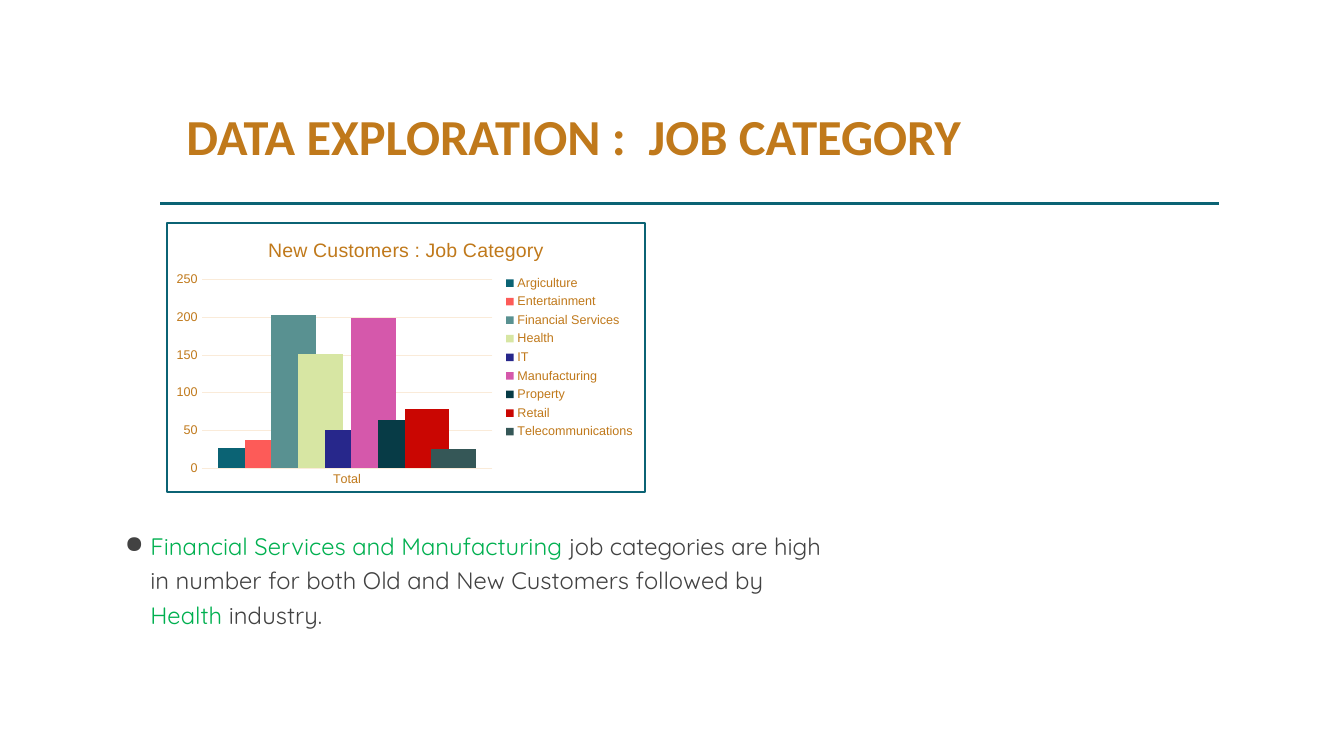
from lxml import etree
from pptx import Presentation
from pptx.chart.data import CategoryChartData
from pptx.dml.color import RGBColor
from pptx.enum.chart import XL_CHART_TYPE, XL_LEGEND_POSITION, XL_TICK_MARK
from pptx.enum.shapes import MSO_CONNECTOR
from pptx.oxml import parse_xml
from pptx.oxml.ns import nsdecls, qn
from pptx.util import Cm, Pt

COLUMNS = XL_CHART_TYPE.COLUMN_CLUSTERED
LEGEND_RIGHT = XL_LEGEND_POSITION.RIGHT
NO_TICK = XL_TICK_MARK.NONE
STRAIGHT = MSO_CONNECTOR.STRAIGHT

TEAL = RGBColor(0x0B, 0x63, 0x74)
OCHRE = RGBColor(0xC0, 0x79, 0x1B)
CREAM = RGBColor(0xFA, 0xEB, 0xD9)
GREEN = RGBColor(0x00, 0xB0, 0x50)
GREY = RGBColor(0x42, 0x42, 0x42)
WHITE = RGBColor(0xFF, 0xFF, 0xFF)

JOBS = [
    ("Argiculture", 26, TEAL),
    ("Entertainment", 37, RGBColor(0xFD, 0x5B, 0x58)),
    ("Financial Services", 203, RGBColor(0x59, 0x91, 0x91)),
    ("Health", 152, RGBColor(0xD7, 0xE6, 0xA3)),
    ("IT", 51, RGBColor(0x27, 0x27, 0x8B)),
    ("Manufacturing", 199, RGBColor(0xD5, 0x58, 0xAB)),
    ("Property", 64, RGBColor(0x07, 0x3B, 0x46)),
    ("Retail", 78, RGBColor(0xCA, 0x06, 0x02)),
    ("Telecommunications", 25, RGBColor(0x35, 0x57, 0x57)),
]
FINDING = [
    ("Financial Services and Manufacturing", GREEN),
    (" job categories are high in number for both Old and New Customers followed by ", GREY),
    ("Health", GREEN),
    (" industry.", GREY),
]


def style_font(font, name, size, color, bold=False):
    font.name = name
    font.size = Pt(size)
    font.color.rgb = color
    font.bold = bold


def style_line(line, color, width):
    line.color.rgb = color
    line.width = Pt(width)


def add_text(s, box, runs, font, size, spacing, bold=False):
    tf = s.shapes.add_textbox(*map(Cm, box)).text_frame
    tf.word_wrap = True
    p = tf.paragraphs[0]
    p.line_spacing = spacing
    for text, color in runs:
        r = p.add_run()
        r.text = text
        style_font(r.font, font, size, color, bold)
    return p


def add_heading(s, left, top, width, height):
    title_box = (left + 0.41, top, width, height - 0.48)
    add_text(s, title_box, [("DATA EXPLORATION :  JOB CATEGORY", OCHRE)],
             "Calibri", 36, 0.9, True)
    rule_y = Cm(top + height - 0.48 + 0.0 - 0.0)
    rule = s.shapes.add_connector(STRAIGHT, Cm(left), rule_y, Cm(left + width), rule_y)
    style_line(rule.line, TEAL, 2.5)
    etree.SubElement(rule._element.spPr, qn("a:effectLst"))


def add_finding(s, left, top, width, height):
    p = add_text(s, (left, top, width, height), FINDING, "Quicksand", 17, 1.2)
    p.space_after = Pt(16)
    pPr = p._p.get_or_add_pPr()
    pPr.set("marL", str(Cm(0.64)))
    pPr.set("indent", str(-Cm(0.64)))
    color = etree.SubElement(pPr, qn("a:buClr"))
    etree.SubElement(color, qn("a:srgbClr"), val=str(GREY))
    etree.SubElement(pPr, qn("a:buChar"), char="●")


def frame_chart(chart, fill, border, width):
    chart._chartSpace.find(qn("c:chart")).addnext(parse_xml(
        f'<c:spPr {nsdecls("c", "a")}>'
        f'<a:solidFill><a:srgbClr val="{fill}"/></a:solidFill>'
        f'<a:ln w="{Pt(width)}"><a:solidFill><a:srgbClr val="{border}"/></a:solidFill></a:ln>'
        '</c:spPr>'))


def add_job_chart(s, left, top, width, height):
    data = CategoryChartData()
    data.categories = ["Total"]
    for name, count, _ in JOBS:
        data.add_series(name, [count])
    box = map(Cm, (left, top, width, height))
    chart = s.shapes.add_chart(COLUMNS, *box, data).chart
    style_font(chart.font, "Arial", 10, OCHRE)
    frame_chart(chart, WHITE, TEAL, 1.25)

    chart.has_title = True
    r = chart.chart_title.text_frame.paragraphs[0].add_run()
    r.text = "New Customers : Job Category"
    style_font(r.font, "Arial", 14, OCHRE)
    chart.chart_title.include_in_layout = False

    chart.has_legend = True
    chart.legend.position = LEGEND_RIGHT
    chart.legend.include_in_layout = False
    style_font(chart.legend.font, "Arial", 9, OCHRE)

    for axis in (chart.category_axis, chart.value_axis):
        axis.major_tick_mark = axis.minor_tick_mark = NO_TICK
        style_font(axis.tick_labels.font, "Arial", 9, OCHRE)
    style_line(chart.category_axis.format.line, CREAM, 0.75)
    values = chart.value_axis
    values.minimum_scale, values.maximum_scale, values.major_unit = 0, 250, 50
    values.format.line.fill.background()
    style_line(values.major_gridlines.format.line, CREAM, 0.75)

    plot = chart.plots[0]
    plot.gap_width = 75
    plot.overlap = 40
    plot.vary_by_categories = False
    for series, (_, _, color) in zip(plot.series, JOBS):
        series.format.fill.solid()
        series.format.fill.fore_color.rgb = color
        series.invert_if_negative = False


def main():
    prs = Presentation()
    prs.slide_width, prs.slide_height = Cm(33.87), Cm(19.05)
    s = prs.slides.add_slide(prs.slide_layouts[6])
    add_heading(s, 4.04, 2.69, 26.69, 2.92)
    add_job_chart(s, 4.19, 5.59, 12.09, 6.83)
    add_finding(s, 2.9, 13.13, 18.19, 3.53)
    prs.save("out.pptx")


if __name__ == "__main__":
    main()
